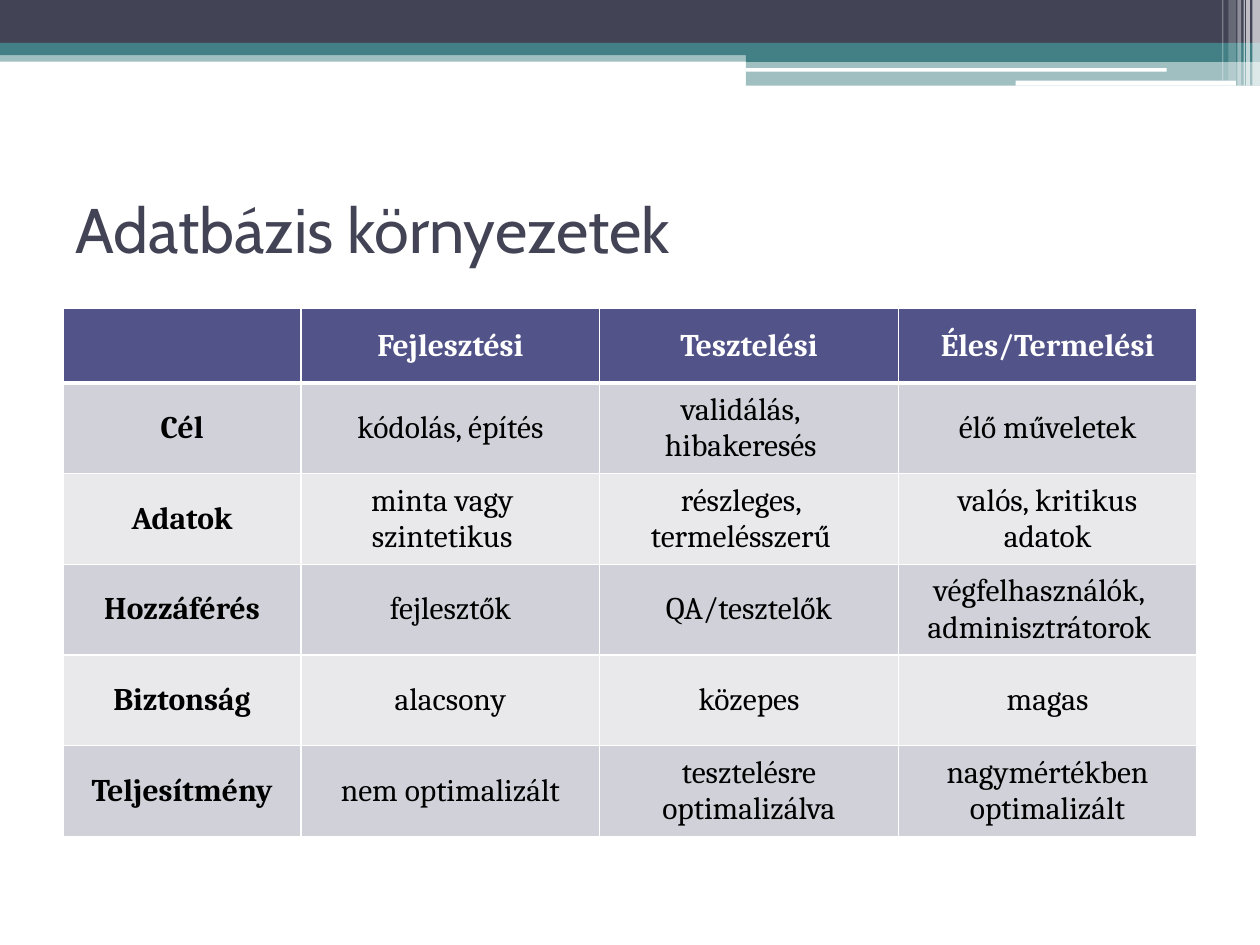
from dataclasses import dataclass

from lxml import etree
from pptx import Presentation
from pptx import util as u
from pptx.dml.color import RGBColor
from pptx.enum import shapes, text
from pptx.oxml import ns


@dataclass(frozen=True)
class Theme:
    dark: str = "424455"
    teal: str = "438085"
    white: str = "FFFFFF"
    black: str = "000000"
    header: str = "525389"
    bands: tuple = ("D1D1DA", "E9E9EC")
    title_font: str = "Cabin"
    body_font: str = "Cambria"
    title_size: int = 36
    body_size: int = 18


class Deck:
    """Holds the theme and the current slide."""

    def __init__(self, theme):
        self.theme = theme
        self.prs = Presentation()
        self.prs.slide_width, self.prs.slide_height = u.Inches(10), u.Inches(7.5)
        self.s = self.prs.slides.add_slide(self.prs.slide_layouts[5])

    def paint(self, sp, color, opacity=100):
        sp.shadow.inherit = False
        sp.line.fill.background()
        sp.fill.solid()
        sp.fill.fore_color.rgb = RGBColor.from_string(color)
        if opacity < 100:
            clr = sp.fill._xPr.find(".//" + ns.qn("a:srgbClr"))
            etree.SubElement(clr, ns.qn("a:alpha"), val=str(opacity * 1000))

    def bar(self, x, y, w, h, color, opacity=100):
        box = [u.Inches(v) for v in (x, y, w, h)]
        sp = self.s.shapes.add_shape(shapes.MSO_SHAPE.RECTANGLE, *box)
        self.paint(sp, color, opacity)

    def outline(self, points, color):
        pts = [(u.Inches(x), u.Inches(y)) for x, y in points]
        fb = self.s.shapes.build_freeform(*pts[0])
        fb.add_line_segments(pts[1:], close=True)
        self.paint(fb.convert_to_shape(), color)

    def style(self, p, font, size, color, align, bold=False):
        p.alignment = align
        p.font.name, p.font.size, p.font.bold = font, u.Pt(size), bold
        p.font.color.rgb = RGBColor.from_string(color)

    def title(self, words, x, y, w, h):
        t, sp = self.theme, self.s.shapes.title
        sp.left, sp.top, sp.width, sp.height = [u.Inches(v) for v in (x, y, w, h)]
        tf = sp.text_frame
        tf.text = words
        tf.margin_left = tf.margin_right = tf.margin_bottom = 0
        tf.margin_top = u.Inches(0.01)
        tf.vertical_anchor = text.MSO_ANCHOR.TOP
        tf.auto_size = text.MSO_AUTO_SIZE.SHAPE_TO_FIT_TEXT
        self.style(tf.paragraphs[0], t.title_font, t.title_size, t.dark, text.PP_ALIGN.LEFT)

    def borders(self, cell, top, bottom):
        tc_pr = cell._tc.get_or_add_tcPr()
        for side, width in (("L", 1), ("R", 1), ("T", top), ("B", bottom)):
            ln = etree.SubElement(tc_pr, ns.qn("a:ln" + side), w=str(u.Pt(width)))
            fill = etree.SubElement(ln, ns.qn("a:solidFill"))
            etree.SubElement(fill, ns.qn("a:srgbClr"), val=self.theme.white)

    def cell(self, cell, words, row, col, inset):
        t = self.theme
        self.borders(cell, 3 if row == 1 else 1, 3 if row == 0 else 1)
        cell.fill.solid()
        cell.fill.fore_color.rgb = RGBColor.from_string(
            t.bands[(row - 1) % 2] if row else t.header)
        cell.margin_left, cell.margin_right = [u.Inches(v) for v in inset]
        cell.margin_top = cell.margin_bottom = 0
        cell.vertical_anchor = text.MSO_ANCHOR.MIDDLE
        cell.text = words
        for p in cell.text_frame.paragraphs:
            self.style(p, t.body_font, t.body_size, t.black if row else t.white,
                       text.PP_ALIGN.CENTER, bold=row == 0 or col == 0)

    def table(self, rows, x, y, widths, heights, insets):
        box = [u.Inches(v) for v in (x, y, sum(widths), sum(heights))]
        tbl = self.s.shapes.add_table(len(rows), len(widths), *box).table
        tbl.horz_banding = False
        for c, w in enumerate(widths):
            tbl.columns[c].width = u.Inches(w)
        for r, row in enumerate(rows):
            tbl.rows[r].height = u.Inches(heights[r])
            for c, words in enumerate(row):
                self.cell(tbl.cell(r, c), words, r, c, insets.get((r, c), (0, 0)))


ROWS = [
    ("", "Fejlesztési", "Tesztelési", "Éles/Termelési"),
    ("Cél", "kódolás, építés", "validálás,\nhibakeresés", "élő műveletek"),
    ("Adatok", "minta vagy szintetikus", "részleges, termelésszerű",
     "valós, kritikus\nadatok"),
    ("Hozzáférés", "fejlesztők", "QA/tesztelők", "végfelhasználók,\nadminisztrátorok"),
    ("Biztonság", "alacsony", "közepes", "magas"),
    ("Teljesítmény", "nem optimalizált", "tesztelésre\noptimalizálva",
     "nagymértékben\noptimalizált"),
]
# Cells whose text sits a little left of centre
INSETS = dict.fromkeys([(1, 2), (2, 1), (2, 2), (3, 3)], (0.2, 0.33))


def main():
    t = Theme()
    d = Deck(t)

    # Header band
    d.bar(0, 0.44, 5.92, 0.05, t.teal, 50)
    d.bar(0, 0, 10, 0.34, t.dark)
    d.outline([(0, 0.34), (10, 0.34), (10, 0.49), (5.92, 0.49), (5.92, 0.44), (0, 0.44)],
              t.teal)
    d.bar(5.92, 0.49, 4.08, 0.19, t.teal, 50)

    # White rules in the band
    d.bar(5.92, 0.54, 3.34, 0.03, t.white)
    d.bar(8.06, 0.64, 1.75, 0.04, t.white)

    # Translucent stripes at the right edge
    for x, w, h, opacity in [(9.94, 0.06, 0.68, 65), (9.89, 0.03, 0.68, 65),
                             (9.87, 0.01, 0.68, 60), (9.82, 0.03, 0.68, 40),
                             (9.75, 0.06, 0.64, 20), (9.7, 0.01, 0.64, 30)]:
        d.bar(x, 0, w, h, t.white, opacity)

    # Title and comparison table
    d.title("Adatbázis környezetek", 0.6, 1.5, 8.5, 0.63)
    d.table(ROWS, 0.5, 2.45, [1.89] + [2.37] * 3, [0.59] + [0.72] * 5, INSETS)

    d.prs.save("out.pptx")


if __name__ == "__main__":
    main()
